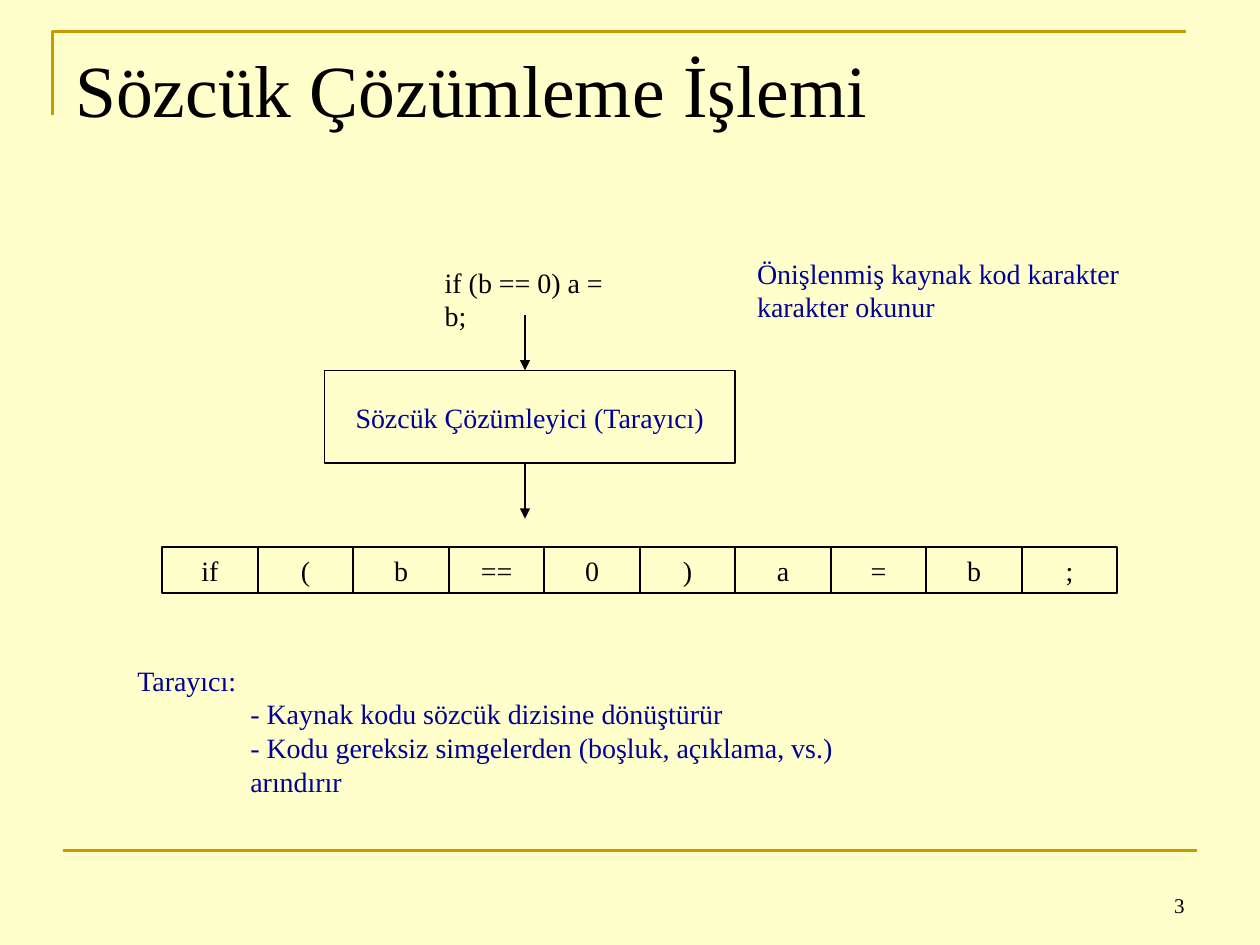
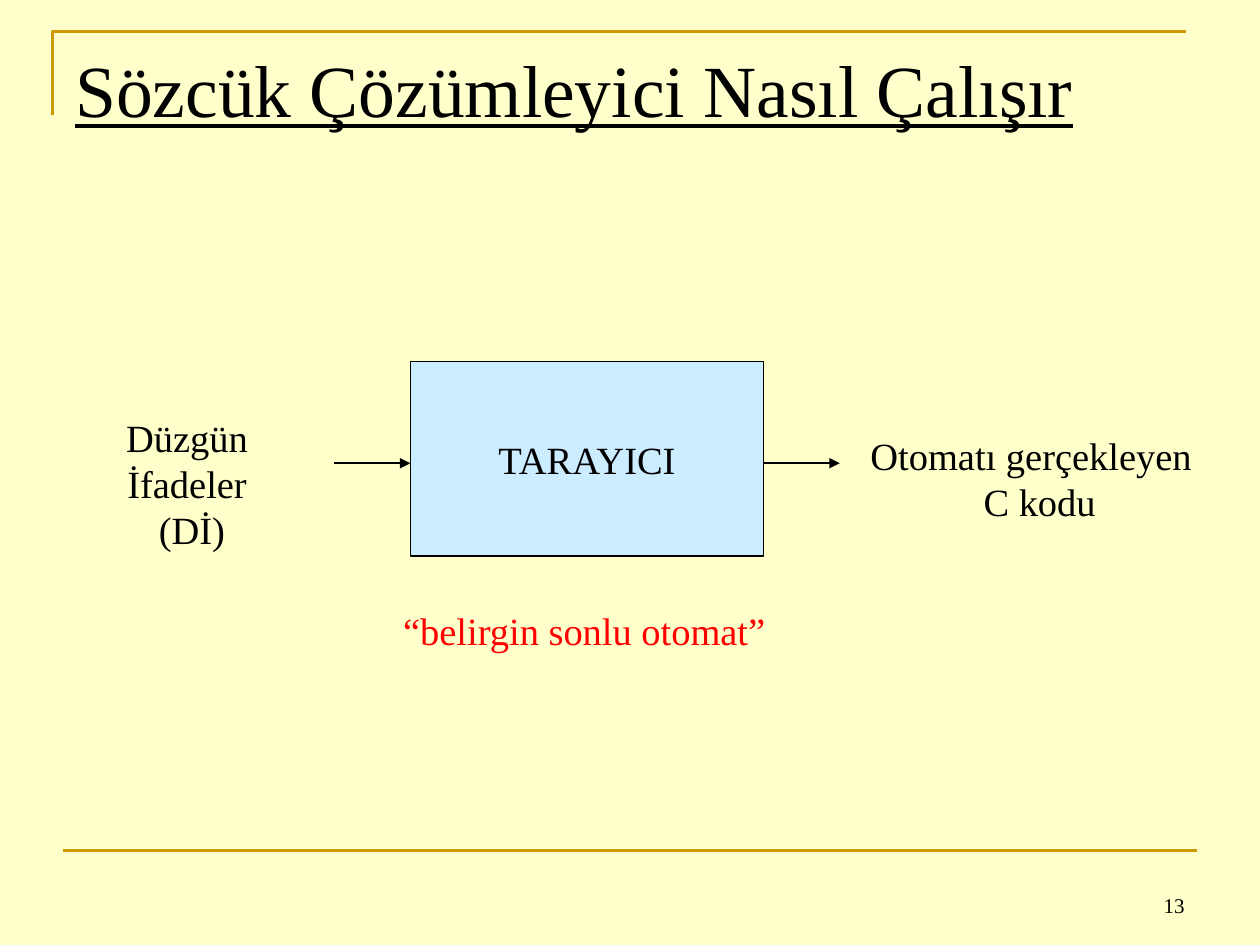
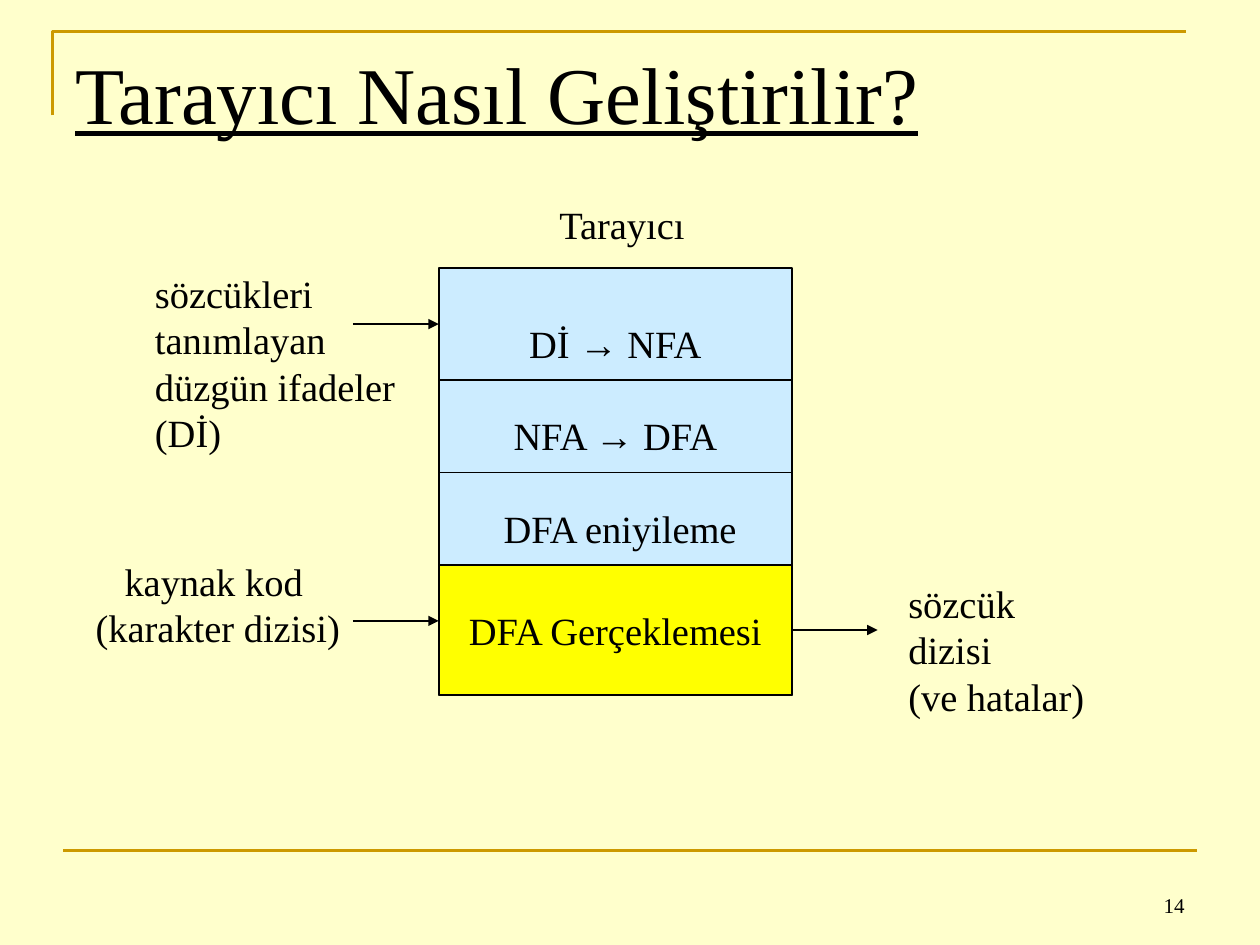
from dataclasses import dataclass, field
from typing import Optional

from lxml import etree
from pptx import Presentation
from pptx.dml.color import RGBColor
from pptx.enum import shapes as kinds, text as txt
from pptx.oxml.ns import qn
from pptx.util import Pt

BLACK = RGBColor(0, 0, 0)
NAVY = RGBColor(0, 0, 0x99)
RED = RGBColor(0xFF, 0, 0)
GOLD = RGBColor(0xCC, 0x99, 0)
CREAM = RGBColor(0xFF, 0xFF, 0xCC)
SKY = RGBColor(0xCC, 0xEC, 0xFF)
YELLOW = RGBColor(0xFF, 0xFF, 0)
SERIF, SANS = "Times New Roman", "Arial"
LEFT, MID, RIGHT = txt.PP_ALIGN.LEFT, txt.PP_ALIGN.CENTER, txt.PP_ALIGN.RIGHT
TOP, CENTER, BOTTOM = txt.MSO_ANCHOR.TOP, txt.MSO_ANCHOR.MIDDLE, txt.MSO_ANCHOR.BOTTOM
TAB = 64.6
SPACE = 5.5
ROW = 26.4


@dataclass
class Label:
    x: float
    y: float
    w: float
    h: float
    text: str
    size: float = 22
    color: RGBColor = BLACK
    align: txt.PP_ALIGN = LEFT
    wrap: bool = False
    indents: dict[int, float] = field(default_factory=dict)


@dataclass
class Block:
    x: float
    y: float
    w: float
    h: float
    text: str
    size: float = 22
    color: RGBColor = BLACK
    fill: Optional[RGBColor] = None
    gap: float = 0
    foot: float = 0
    indents: dict[int, float] = field(default_factory=dict)


@dataclass
class Line:
    x1: float
    y1: float
    x2: float
    y2: float
    arrow: bool = True
    color: RGBColor = BLACK
    width: float = 1


def write(frame, text: str, *, size: float, color: RGBColor = BLACK, align=LEFT,
          anchor=TOP, wrap: bool = False, pad: tuple = (6.46, 3.23), foot: float = 0,
          gap: float = 0, under: bool = False, indents: Optional[dict] = None) -> None:
    frame.word_wrap = wrap
    frame.vertical_anchor = anchor
    frame.margin_left = frame.margin_right = Pt(pad[0])
    frame.margin_top, frame.margin_bottom = Pt(pad[1]), Pt(pad[1] + foot)
    for row, line in enumerate(text.split("\n")):
        para = frame.add_paragraph() if row else frame.paragraphs[0]
        para.alignment = align
        if row and gap:
            para.space_before = Pt(gap)
        if indents and row in indents:
            para._p.get_or_add_pPr().set("marL", str(Pt(indents[row])))
        for piece in filter(None, line.partition("→")):
            run = para.add_run()
            run.text = piece
            run.font.name = SANS if piece == "→" else SERIF
            run.font.size = Pt(size)
            run.font.color.rgb = color
            if under:
                run.font.underline = True


def put_label(slide, item: Label) -> None:
    box = slide.shapes.add_textbox(Pt(item.x), Pt(item.y), Pt(item.w), Pt(item.h))
    write(box.text_frame, item.text, size=item.size, color=item.color,
          align=item.align, wrap=item.wrap, indents=item.indents)
    box.text_frame.auto_size = txt.MSO_AUTO_SIZE.SHAPE_TO_FIT_TEXT


def put_block(slide, item: Block):
    rect = slide.shapes.add_shape(kinds.MSO_SHAPE.RECTANGLE, Pt(item.x), Pt(item.y),
                                  Pt(item.w), Pt(item.h))
    rect.shadow.inherit = False
    if item.fill is None:
        rect.fill.background()
    else:
        rect.fill.solid()
        rect.fill.fore_color.rgb = item.fill
    rect.line.color.rgb = BLACK
    rect.line.width = Pt(1)
    write(rect.text_frame, item.text, size=item.size, color=item.color, align=MID,
          anchor=CENTER, gap=item.gap, foot=item.foot, indents=item.indents)
    return rect


def put_line(slide, item: Line):
    line = slide.shapes.add_connector(kinds.MSO_CONNECTOR.STRAIGHT, Pt(item.x1),
                                      Pt(item.y1), Pt(item.x2), Pt(item.y2))
    line.line.color.rgb = item.color
    line.line.width = Pt(item.width)
    if item.arrow:
        etree.SubElement(line.line._get_or_add_ln(), qn("a:tailEnd"), type="triangle")
    etree.SubElement(line._element.spPr, qn("a:effectLst"))
    return line


def start(deck, title: str, page: int, size: float = 42, under: bool = True):
    slide = deck.slides.add_slide(deck.slide_layouts[6])
    path = slide.shapes.build_freeform(Pt(30), Pt(66))
    path.add_line_segments([(Pt(30), Pt(18)), (Pt(678), Pt(18))], close=False)
    frame = path.convert_to_shape()
    frame.shadow.inherit = False
    frame.fill.background()
    frame.line.color.rgb = GOLD
    frame.line.width = Pt(1.5)
    put_line(slide, Line(36, 486, 684, 486, arrow=False, color=GOLD, width=1.5))
    head = slide.shapes.add_textbox(Pt(36), Pt(21.6), Pt(648), Pt(90))
    write(head.text_frame, title, size=size, wrap=True, pad=(7.2, 3.6), under=under)
    foot = slide.shapes.add_textbox(Pt(516), Pt(492), Pt(168), Pt(36))
    write(foot.text_frame, str(page), size=12, align=RIGHT, anchor=BOTTOM,
          wrap=True, pad=(7.2, 3.6))
    return slide


def add_process(deck) -> None:
    slide = start(deck, "Sözcük Çözümleme İşlemi", 3, under=False)
    put_block(slide, Block(185.5, 211.7, 234.5, 53, "Sözcük Çözümleyici (Tarayıcı)",
                           16, NAVY))
    for y in (180, 264.7):
        put_line(slide, Line(300, y, 300, y + 31.7))
    put_label(slide, Label(247.7, 148.3, 119.5, 25.9, "if (b == 0) a = b;", 16))
    put_label(slide, Label(426.2, 143.3, 220.3, 44.6,
                           "Önişlenmiş kaynak kod karakter\nkarakter okunur", 16, NAVY))
    pitch = 54.58
    for col, token in enumerate("if ( b == 0 ) a = b ;".split()):
        put_block(slide, Block(92.7 + col * pitch, 312.5, pitch, 26.5, token, 16))
    put_label(slide, Label(
        72, 375.8, 466.6, 64.1,
        "Tarayıcı:\n- Kaynak kodu sözcük dizisine dönüştürür\n"
        "- Kodu gereksiz simgelerden (boşluk, açıklama, vs.) arındırır",
        16, NAVY, indents={1: TAB, 2: TAB}))


def add_scanner(deck) -> None:
    slide = start(deck, "Sözcük Çözümleyici Nasıl Çalışır", 13)
    put_block(slide, Block(234.5, 206.5, 201.8, 111.2, "TARAYICI", fill=SKY))
    for x in (190.9, 436.3):
        put_line(slide, Line(x, 264.7, x + 43.6, 264.7))
    for item in (
        Label(65.5, 233.3, 82.8, 85.7, "Düzgün\nİfadeler\n(Dİ)", align=MID,
              indents={2: SPACE}),
        Label(491, 243.4, 196.6, 59, "Otomatı gerçekleyen\nC kodu", indents={1: TAB}),
        Label(223.9, 343.4, 226, 85.7, "“belirgin sonlu otomat”", color=RED),
    ):
        put_label(slide, item)


def add_stages(deck) -> None:
    slide = start(deck, "Tarayıcı Nasıl Geliştirilir?", 14, size=46)
    left, width = 250.7, 201.8
    right = left + width
    put_block(slide, Block(left, 153.3, width, 243.7,
                           "Dİ → NFA\nNFA → DFA\nDFA eniyileme", fill=SKY,
                           gap=ROW, foot=2 * ROW, indents={2: SPACE}))
    code = put_block(slide, Block(left, 323, width, 74, "DFA Gerçeklemesi", fill=YELLOW))
    for y in (217, 270, 323):
        put_line(slide, Line(left, y, right, y, arrow=False))
    for y in (185.2, 354.8):
        put_line(slide, Line(left - 49, y, left, y))
    put_line(slide, Line(right, 360, right + 49, 360)).begin_connect(code, 3)
    for item in (
        Label(48.2, 315.4, 203, 59, "kaynak kod\n(karakter dizisi)", wrap=True,
              indents={0: 3 * SPACE}),
        Label(82.1, 151.2, 193, 112.3,
              "sözcükleri\ntanımlayan\ndüzgün ifadeler\n(Dİ)", wrap=True),
        Label(512.6, 328.3, 126.7, 59, "sözcük dizisi\n(ve hatalar)"),
        Label(297.4, 111.6, 115.9, 59, "Tarayıcı", align=MID, wrap=True),
    ):
        put_label(slide, item)


def main() -> None:
    deck = Presentation()
    deck.slide_width, deck.slide_height = Pt(720), Pt(540)
    back = deck.slide_master.background.fill
    back.solid()
    back.fore_color.rgb = CREAM
    add_process(deck)
    add_scanner(deck)
    add_stages(deck)
    deck.save("out.pptx")


if __name__ == "__main__":
    main()
